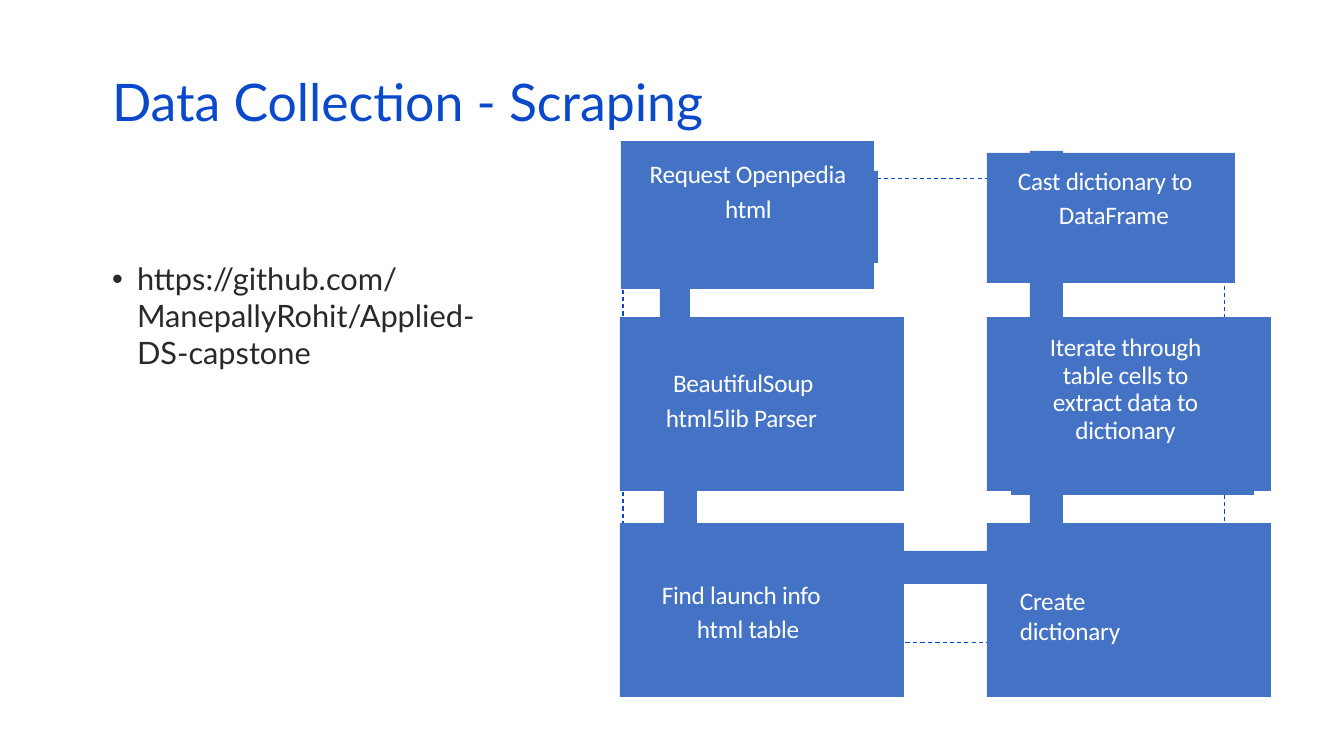
from lxml import etree
from pptx import Presentation
from pptx.dml.color import RGBColor
from pptx.enum.dml import MSO_LINE_DASH_STYLE as Dash
from pptx.enum.shapes import MSO_SHAPE as Shape
from pptx.enum.text import MSO_ANCHOR as Anchor, MSO_AUTO_SIZE as AutoSize, PP_ALIGN as Align
from pptx.oxml.ns import qn
from pptx.util import Emu, Pt

EMU_PER_PX = 914400 / 100.8
COLORS = {
    "title": "0B49CB",
    "body": "292929",
    "panel": "4472C4",
    "label": "FFFFFF",
    "frame": "0B49CB",
}

# Bars that join the steps, then the panels: left, top, width, height
BARS = [
    (660, 177, 30, 181),
    (664, 358, 33, 214),
    (677, 551, 374, 33),
    (1030, 358, 33, 214),
    (1030, 151, 33, 214),
]
COLUMNS, ROWS = (620, 987), (317, 523)
PANELS = [
    (621, 141, 253, 148),
    (623, 171, 255, 92),
    (987, 153, 248, 130),
    (1011, 319, 243, 176),
] + [(left, top, 284, 174) for left in COLUMNS for top in ROWS]

# Step labels: area, top inset, paragraphs as (text, left margin, first indent), format
LABELS = [
    ((631, 151, 234, 74), 2, [("Request Openpedia", 0, 0), ("html", 1, 0)],
     {"alignment": Align.CENTER, "line_spacing": Pt(25.2)}),
    ((665, 360, 188, 74), 2, [("BeautifulSoup", 8, 0), ("html5lib Parser", 1, 0)],
     {"line_spacing": Pt(25.2)}),
    ((660, 566, 199, 73), 10, [("Find launch info html table", 37, -35)],
     {"line_spacing": Pt(24.3)}),
    ((1019, 583, 155, 62), 2, [("Create dictionary", 1, 0)], {}),
    ((1031, 326, 188, 117), 8,
     [("Iterate through table cells to extract data to dictionary", 1, 0)],
     {"alignment": Align.CENTER, "line_spacing": 0.92}),
    ((1017, 152, 219, 74), 10, [("Cast dictionary to DataFrame", 42, -41)],
     {"line_spacing": Pt(24.2)}),
]


def px(length):
    return Emu(round(length * EMU_PER_PX))


def color(name):
    return RGBColor.from_string(COLORS[name])


def apply(target, values):
    for name, value in values.items():
        setattr(target, name, value)


def place(item, area):
    apply(item, dict(zip(("left", "top", "width", "height"), map(px, area))))


def indent(para, margin, first):
    properties = para._p.get_or_add_pPr()
    properties.set("marL", str(px(margin)))
    properties.set("indent", str(px(first)))


def write(para, text, font, size, ink, spacing=0):
    span = para.add_run()
    span.text = text
    apply(span.font, {"name": font, "size": Pt(size), "bold": False})
    span.font.color.rgb = color(ink)
    if spacing:
        span._r.get_or_add_rPr().set("spc", str(spacing))


def add_block(page, area):
    block = page.shapes.add_shape(Shape.RECTANGLE, *map(px, area))
    block.shadow.inherit = False
    block.fill.solid()
    block.fill.fore_color.rgb = color("panel")
    block.line.fill.background()


def add_frame(page, area):
    frame = page.shapes.add_shape(Shape.RECTANGLE, *map(px, area))
    frame.shadow.inherit = False
    frame.fill.background()
    frame.line.color.rgb = color("frame")
    apply(frame.line, {"width": Pt(0.75), "dash_style": Dash.DASH})


def add_label(page, area, inset, lines, style):
    box = page.shapes.add_textbox(*map(px, area))
    frame = box.text_frame
    apply(frame, {"word_wrap": True, "margin_left": 0, "margin_right": 0,
                  "margin_top": px(inset), "margin_bottom": 0})
    for number, (text, margin, first) in enumerate(lines):
        para = frame.add_paragraph() if number else frame.paragraphs[0]
        indent(para, margin, first)
        apply(para, style)
        write(para, text, "Calibri", 18, "label", spacing=-20)


def fill_title(page, text):
    title = page.shapes.title
    place(title, (102, 77, 1159, 60))
    apply(title.text_frame, {"vertical_anchor": Anchor.MIDDLE, "auto_size": AutoSize.NONE})
    para = title.text_frame.paragraphs[0]
    apply(para, {"alignment": Align.LEFT, "line_spacing": 0.8})
    write(para, text, "Lato", 37, "title")


def fill_body(page, text):
    body = page.placeholders[1]
    place(body, (102, 255, 433, 363))
    apply(body.text_frame, {"vertical_anchor": Anchor.TOP, "auto_size": AutoSize.NONE})
    para = body.text_frame.paragraphs[0]
    indent(para, 25, -25)
    bullet = etree.SubElement(para._p.get_or_add_pPr(), qn("a:buChar"))
    bullet.set("char", "•")
    para.space_before = Pt(0)
    write(para, text, "Lato", 22, "body")


def main():
    deck = Presentation()
    apply(deck, {"slide_width": px(1344), "slide_height": px(756)})
    page = deck.slides.add_slide(deck.slide_layouts[1])

    # Title and link
    fill_title(page, "Data Collection - Scraping")
    fill_body(page, "https://github.com/ManepallyRohit/Applied-DS-capstone")

    # Flow of steps
    add_frame(page, (623, 179, 602, 464))
    for area in BARS + PANELS:
        add_block(page, area)
    for label in LABELS:
        add_label(page, *label)

    deck.save("out.pptx")


if __name__ == "__main__":
    main()
